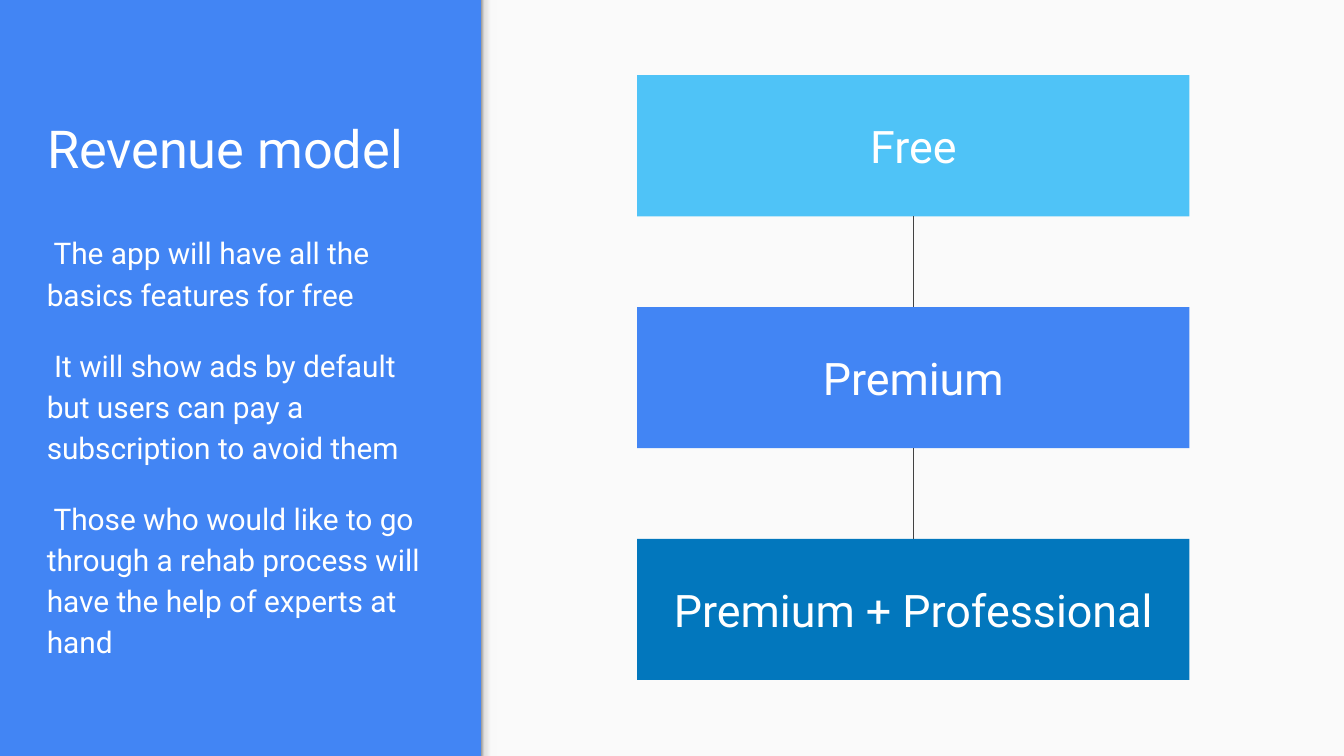
from typing import NamedTuple

from lxml.etree import SubElement
from pptx import Presentation
from pptx.dml.color import RGBColor
from pptx.enum.shapes import MSO_CONNECTOR, MSO_SHAPE
from pptx.enum.text import MSO_ANCHOR, MSO_AUTO_SIZE, PP_ALIGN
from pptx.oxml.ns import qn
from pptx.util import Inches, Pt

COLORS = {
    "blue": "4285F4",
    "sky": "4FC3F7",
    "deep": "0277BD",
    "paper": "FAFAFA",
    "white": "FFFFFF",
    "line": "424242",
}
SHADE = [(0, "999999"), (20, "DEDEDE"), (64, "F9F9F9"), (100, "F9F9F9")]
FONT = "Roboto"
WIDTH = 10
HEIGHT = WIDTH * 9 / 16
EDGE = 3.58
LEFT, TOP, LAST = 4.74, 0.56, 4.01
BOX_W, BOX_H = 4.11, 1.05


class Tier(NamedTuple):
    name: str
    color: str


TIERS = [
    Tier("Free", "sky"),
    Tier("Premium", "blue"),
    Tier("Premium + Professional", "deep"),
]
STEP = (LAST - TOP) / (len(TIERS) - 1)
POINTS = [
    " The app will have all the basics features for free",
    " It will show ads by default but users can pay a subscription to avoid them",
    " Those who would like to go through a rehab process will have the help of experts at hand",
]


def rgb(name: str) -> RGBColor:
    return RGBColor.from_string(COLORS[name])


def write(shape, *texts: str, size: float, align=PP_ALIGN.LEFT,
          anchor=MSO_ANCHOR.TOP, spacing: float = 1.0, gap: float = 0) -> None:
    """Fill a shape with one paragraph per text, parted by gap points."""
    frame = shape.text_frame
    frame.word_wrap = True
    frame.auto_size = MSO_AUTO_SIZE.NONE
    frame.vertical_anchor = anchor
    frame.margin_left = frame.margin_right = Inches(0.1)
    frame.margin_top = frame.margin_bottom = Inches(0.1)
    for i, text in enumerate(texts):
        para = frame.paragraphs[0] if i == 0 else frame.add_paragraph()
        para.alignment = align
        para.line_spacing = spacing
        para.space_before = Pt(gap if i else 0)
        run = para.add_run()
        run.text = text
        run.font.name = FONT
        run.font.size = Pt(size)
        run.font.color.rgb = rgb("white")


def add_rect(slide, x: float, y: float, w: float, h: float, color: str):
    rect = slide.shapes.add_shape(
        MSO_SHAPE.RECTANGLE, Inches(x), Inches(y), Inches(w), Inches(h))
    rect.shadow.inherit = False
    rect.fill.solid()
    rect.fill.fore_color.rgb = rgb(color)
    rect.line.fill.background()
    return rect


def add_shade(slide) -> None:
    """Draw the soft shadow that the left panel casts."""
    strip = add_rect(slide, EDGE, 0, 0.12, HEIGHT, "paper")
    strip.fill.gradient()
    strip.fill.gradient_angle = 0
    stops = strip.element.spPr.find(".//" + qn("a:gsLst"))
    for stop in list(stops):
        stops.remove(stop)
    for pos, color in SHADE:
        stop = SubElement(stops, qn("a:gs"), pos=str(pos * 1000))
        SubElement(stop, qn("a:srgbClr"), val=color)


def add_link(slide, x: float, top: float, end: float) -> None:
    link = slide.shapes.add_connector(
        MSO_CONNECTOR.STRAIGHT, Inches(x), Inches(top), Inches(x), Inches(end))
    link.line.color.rgb = rgb("line")
    link.line.width = Pt(0.75)
    SubElement(link.element.spPr, qn("a:effectLst"))


def main() -> None:
    deck = Presentation()
    deck.slide_width, deck.slide_height = Inches(WIDTH), Inches(HEIGHT)
    slide = deck.slides.add_slide(deck.slide_layouts[5])
    slide.background.fill.solid()
    slide.background.fill.fore_color.rgb = rgb("blue")

    add_rect(slide, EDGE, 0, WIDTH - EDGE, HEIGHT, "paper")
    add_shade(slide)

    title = slide.shapes.title
    title.left, title.top = Inches(0.25), Inches(0.39)
    title.width, title.height = Inches(3.07), Inches(1.04)
    write(title, "Revenue model", size=28, anchor=MSO_ANCHOR.BOTTOM)

    body = slide.shapes.add_textbox(
        Inches(0.25), Inches(1.61), Inches(3.07), Inches(3.46))
    write(body, *POINTS, size=16, spacing=1.15, gap=16)

    for i, tier in enumerate(TIERS):
        y = TOP + i * STEP
        box = add_rect(slide, LEFT, y, BOX_W, BOX_H, tier.color)
        write(box, tier.name, size=24, align=PP_ALIGN.CENTER,
              anchor=MSO_ANCHOR.MIDDLE)
        if i:
            add_link(slide, LEFT + BOX_W / 2, y - STEP + BOX_H, y)

    deck.save("out.pptx")


if __name__ == "__main__":
    main()
